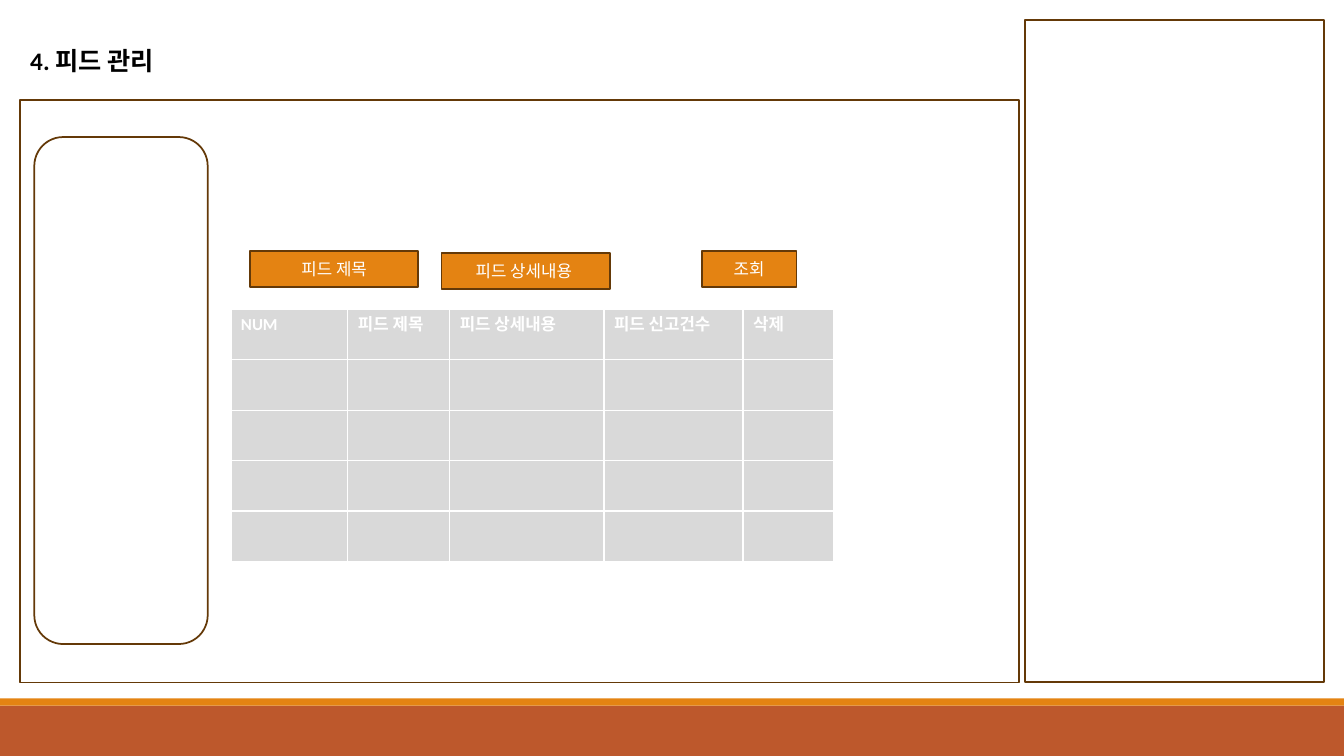
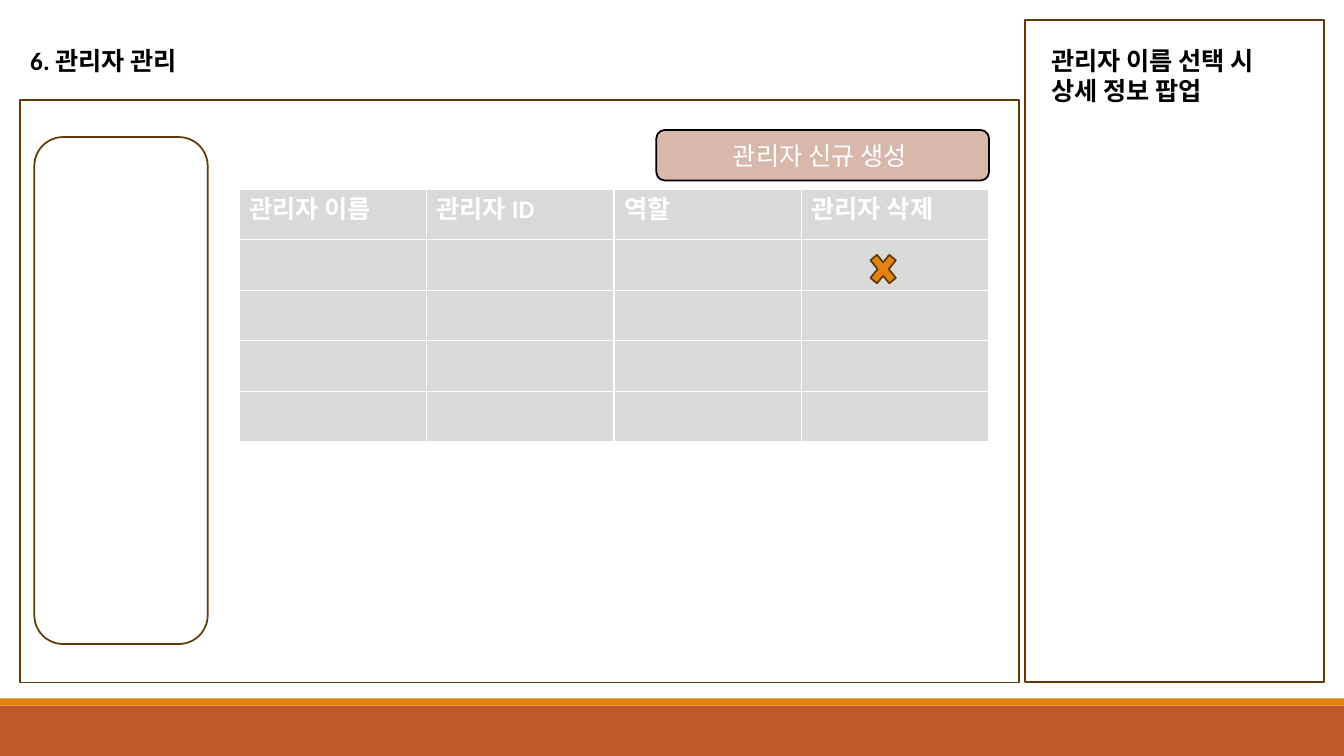
from dataclasses import dataclass
from pptx import Presentation
from pptx import util as u
from pptx.dml.color import RGBColor
from pptx.enum import shapes, text
from pptx.oxml.ns import qn
from lxml import etree

MSO = shapes.MSO_SHAPE


@dataclass(frozen=True)
class Theme:
    font: str = "Calibri"
    heading: int = 18
    small: int = 12
    line: float = 1.25
    black: str = "000000"
    white: str = "FFFFFF"
    brown: str = "643908"
    orange: str = "E48312"
    rust: str = "BD582C"
    rose: str = "D7B8AB"
    grey: str = "D9D9D9"


T = Theme()
SIZE = (13.33, 7.5)
MAIN = (0.2, 0.99, 9.91, 5.78)
NOTES = (10.17, 0.2, 2.96, 6.57)
TITLE = (0.2, 0.4, 6.66, 0.4)
LABEL = dict(size=T.small, color=T.white, bold=False)
HEADING = dict(size=T.heading, color=T.black, bold=True)


def inches(box):
    return [u.Inches(v) for v in box]


def style(tf, fmt, align):
    values = dict(name=T.font, size=u.Pt(fmt["size"]), bold=fmt["bold"])
    for p in tf.paragraphs:
        p.alignment = align
        for r in p.runs:
            for name, value in values.items():
                setattr(r.font, name, value)
            r.font.color.rgb = RGBColor.from_string(fmt["color"])
            # East Asian text takes the same font
            latin = r._r.get_or_add_rPr().find(qn("a:latin"))
            latin.addnext(etree.Element(qn("a:ea"), typeface=T.font))


def write(tf, txt, fmt, align=text.PP_ALIGN.LEFT, anchor=text.MSO_ANCHOR.TOP):
    tf.text = txt
    style(tf, fmt, align)
    for name, value in dict(word_wrap=True, vertical_anchor=anchor,
                            auto_size=text.MSO_AUTO_SIZE.NONE).items():
        setattr(tf, name, value)


def add_box(s, box, kind=MSO.RECTANGLE, fill=None, line=T.brown, txt=None, fmt=LABEL):
    sp = s.shapes.add_shape(kind, *inches(box))
    sp.shadow.inherit = False
    if fill:
        sp.fill.solid()
        sp.fill.fore_color.rgb = RGBColor.from_string(fill)
    else:
        sp.fill.background()
    if line:
        sp.line.color.rgb = RGBColor.from_string(line)
        sp.line.width = u.Pt(T.line)
    else:
        sp.line.fill.background()
    if txt:
        write(sp.text_frame, txt, fmt, text.PP_ALIGN.CENTER, text.MSO_ANCHOR.MIDDLE)
    return sp


def add_grid(s, x, y, widths, headers, size, rows=5, row_h=0.5):
    tbl = s.shapes.add_table(rows, len(widths),
                             *inches((x, y, sum(widths), rows * row_h))).table
    tbl.horz_banding = False
    for col, w in zip(tbl.columns, widths):
        col.width = u.Inches(w)
    for cell in tbl.iter_cells():
        cell.fill.solid()
        cell.fill.fore_color.rgb = RGBColor.from_string(T.grey)
    for cell, header in zip(tbl.rows[0].cells, headers):
        cell.text = header
        style(cell.text_frame, dict(size=size, color=T.white, bold=True),
              text.PP_ALIGN.LEFT)


def shared_layout(prs):
    """Layout with only a title, moved to its place."""
    layout = prs.slide_layouts.get_by_name("Title Only")
    for ph in list(layout.placeholders):
        if ph.placeholder_format.type == shapes.PP_PLACEHOLDER.TITLE:
            ph.left, ph.top, ph.width, ph.height = inches(TITLE)
        else:
            ph.element.getparent().remove(ph.element)
    return layout


def fill_layout(s, layout):
    """Footer bands and menu panel, drawn on a slide and moved to the layout."""
    w, h = SIZE
    parts = [
        add_box(s, (0, h - 0.5, w, 0.5), fill=T.rust, line=None),
        add_box(s, (0, h - 0.57, w, 0.07), fill=T.orange, line=None),
        add_box(s, (0.34, 1.36, 1.72, 5.03), MSO.ROUNDED_RECTANGLE),
    ]
    for sp in parts:
        layout.shapes.element.append(sp.element)


def add_screen(prs, layout, title):
    """Title and the two empty frames of a screen."""
    s = prs.slides.add_slide(layout)
    write(s.shapes.title.text_frame, title, HEADING, anchor=text.MSO_ANCHOR.MIDDLE)
    for box in (MAIN, NOTES):
        add_box(s, box)
    return s


def feed_area(s, box):
    x, y = box[:2]
    # Search fields and button
    for dx, dy, w, txt in ((2.28, 1.5, 1.67, "피드 제목"),
                           (4.18, 1.52, 1.67, "피드 상세내용 "),
                           (6.76, 1.5, 0.94, "조회")):
        add_box(s, (x + dx, y + dy, w, 0.36), fill=T.orange, txt=txt)
    # Feed list
    add_grid(s, x + 2.09, y + 2.08, (1.16, 1.01, 1.53, 1.38, 0.9),
             ("NUM", "피드 제목", "피드 상세내용", "피드 신고건수", "삭제"), T.small)


def admin_area(s, box):
    x, y = box[0] + 2.17, box[1] + 0.89
    widths = (1.86,) * 4
    # Administrator list
    add_grid(s, x, y, widths, ("관리자 이름", "관리자 ID", "역할", "관리자 삭제"), T.heading)
    # Create button, flush with the right edge of the list
    add_box(s, (x + sum(widths) - 3.3, y - 0.59, 3.3, 0.5), MSO.ROUNDED_RECTANGLE,
            T.rose, T.black, "관리자 신규 생성 ", dict(LABEL, size=T.heading))
    # Delete mark in the first row
    add_box(s, (x + 6.21, y + 0.57, 0.36, 0.44), MSO.MATH_MULTIPLY, T.orange)


def notes_area(s, box, txt):
    x, y = box[:2]
    tb = s.shapes.add_textbox(*inches((x + 0.16, y + 0.2, 2.45, 0.71)))
    write(tb.text_frame, txt, HEADING)


def main():
    prs = Presentation()
    prs.slide_width, prs.slide_height = inches(SIZE)
    layout = shared_layout(prs)

    # Feed management
    feed = add_screen(prs, layout, "4. 피드 관리")
    fill_layout(feed, layout)
    feed_area(feed, MAIN)

    # Administrator management
    admin = add_screen(prs, layout, "6. 관리자 관리")
    admin_area(admin, MAIN)
    notes_area(admin, NOTES, "관리자 이름 선택 시 \v상세 정보 팝업")

    prs.save("out.pptx")


if __name__ == "__main__":
    main()
